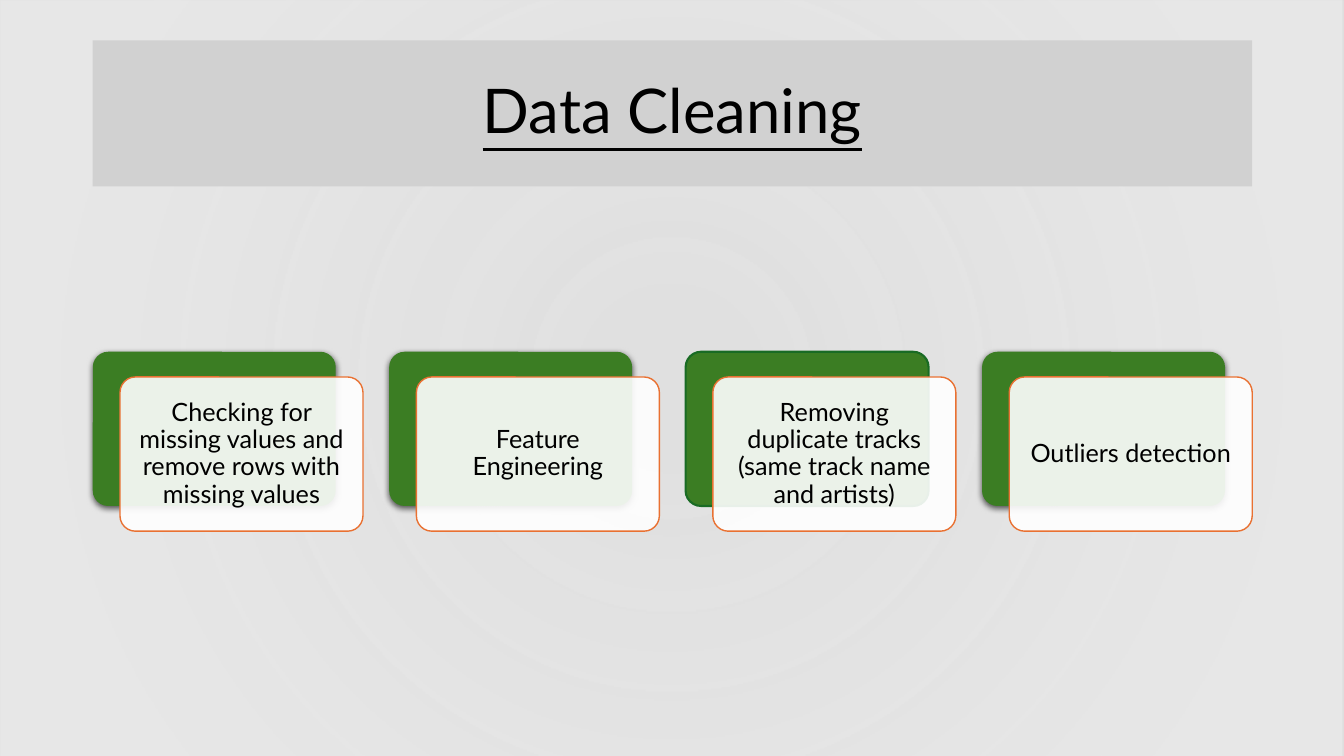
from lxml.etree import SubElement
from pptx import Presentation
from pptx.dml.color import RGBColor
from pptx.enum.shapes import MSO_SHAPE
from pptx.enum.text import MSO_ANCHOR, PP_ALIGN
from pptx.oxml import parse_xml
from pptx.oxml.ns import nsdecls, qn
from pptx.util import Inches, Pt

TITLE = "Data Cleaning"
STEPS = [
    {"text": "Checking for missing values and remove rows with missing values", "outlined": False},
    {"text": "Feature Engineering", "outlined": False},
    {"text": "Removing duplicate tracks (same track name and artists)", "outlined": True},
    {"text": "Outliers detection", "outlined": False},
]
COLORS = {"gray": "D1D1D1", "glow": "E8E8E8", "green": "3B7D23", "dark_green": "196B24",
          "orange": "E97132", "white": "FFFFFF", "black": "000000"}
TITLE_FONT = {"name": "Lato", "size": Pt(44), "underline": True}
STEP_FONT = {"name": "Lato", "size": Pt(18)}

SLIDE_W, SLIDE_H = 13.33, 7.5
LEFT, TOP = 0.92, 3.49
CARD_W, CARD_H = 2.41, 1.53
PITCH = 2.94
OFFSET_X, OFFSET_Y = 0.27, 0.25
INSET = 0.11


def rgb(name):
    return RGBColor.from_string(COLORS[name])


def add_box(shapes, kind, box, fill, line=None, line_width=1):
    sp = shapes.add_shape(kind, *map(Inches, box))
    sp.shadow.inherit = False
    sp.fill.solid()
    sp.fill.fore_color.rgb = rgb(fill)
    if line:
        sp.line.color.rgb = rgb(line)
        sp.line.width = Pt(line_width)
    else:
        sp.line.fill.background()
    if kind == MSO_SHAPE.ROUNDED_RECTANGLE:
        sp.adjustments[0] = 0.1
    return sp


def write(sp, text, font, inset):
    tf = sp.text_frame
    tf.word_wrap = True
    tf.vertical_anchor = MSO_ANCHOR.MIDDLE
    for side in ("left", "top", "right", "bottom"):
        setattr(tf, f"margin_{side}", Inches(inset))
    p = tf.paragraphs[0]
    p.alignment = PP_ALIGN.CENTER
    p.line_spacing = 0.9
    r = p.add_run()
    r.text = text
    r.font.color.rgb = rgb("black")
    for key, value in font.items():
        setattr(r.font, key, value)


def set_opacity(sp, percent):
    color = sp._element.spPr.find(f"{qn('a:solidFill')}/{qn('a:srgbClr')}")
    SubElement(color, qn("a:alpha"), val=str(percent * 1000))


def add_shadow(sp):
    effects = sp._element.spPr.find(qn("a:effectLst"))
    effects.append(parse_xml(
        f'<a:outerShdw {nsdecls("a")} blurRad="{Pt(4.5)}" dist="{Pt(1.5)}" dir="5400000"'
        f' algn="ctr" rotWithShape="0"><a:srgbClr val="{COLORS["black"]}">'
        '<a:alpha val="63000"/></a:srgbClr></a:outerShdw>'))


def set_glow(sp):
    """Fill with a circular gradient that is more see-through in the centre."""
    stops = "".join(
        f'<a:gs pos="{pos}000"><a:srgbClr val="{COLORS["glow"]}">'
        f'<a:alpha val="{alpha}000"/></a:srgbClr></a:gs>'
        for pos, alpha in ((10, 68), (85, 97)))
    gradient = parse_xml(
        f'<a:gradFill {nsdecls("a")}><a:gsLst>{stops}</a:gsLst><a:path path="circle">'
        '<a:fillToRect l="50000" t="50000" r="50000" b="50000"/></a:path></a:gradFill>')
    spPr = sp._element.spPr
    spPr.replace(spPr.find(qn("a:solidFill")), gradient)


def add_step(shapes, index, step):
    x = LEFT + index * PITCH
    back = add_box(shapes, MSO_SHAPE.ROUNDED_RECTANGLE, (x, TOP, CARD_W, CARD_H), "green",
                   "dark_green" if step["outlined"] else None, 1.5)
    if not step["outlined"]:
        add_shadow(back)
    card = add_box(shapes, MSO_SHAPE.ROUNDED_RECTANGLE,
                   (x + OFFSET_X, TOP + OFFSET_Y, CARD_W, CARD_H), "white", "orange")
    set_opacity(card, 90)
    write(card, step["text"], STEP_FONT, INSET)


def main():
    prs = Presentation()
    prs.slide_width, prs.slide_height = Inches(SLIDE_W), Inches(SLIDE_H)
    s = prs.slides.add_slide(prs.slide_layouts[6])
    s.background.fill.solid()
    s.background.fill.fore_color.rgb = rgb("gray")

    set_glow(add_box(s.shapes, MSO_SHAPE.RECTANGLE, (0, 0, SLIDE_W, SLIDE_H), "glow"))
    title = add_box(s.shapes, MSO_SHAPE.RECTANGLE, (LEFT, 0.4, 11.5, 1.45), "gray")
    write(title, TITLE, TITLE_FONT, 0.05)
    for index, step in enumerate(STEPS):
        add_step(s.shapes, index, step)
    prs.save("out.pptx")


if __name__ == "__main__":
    main()
